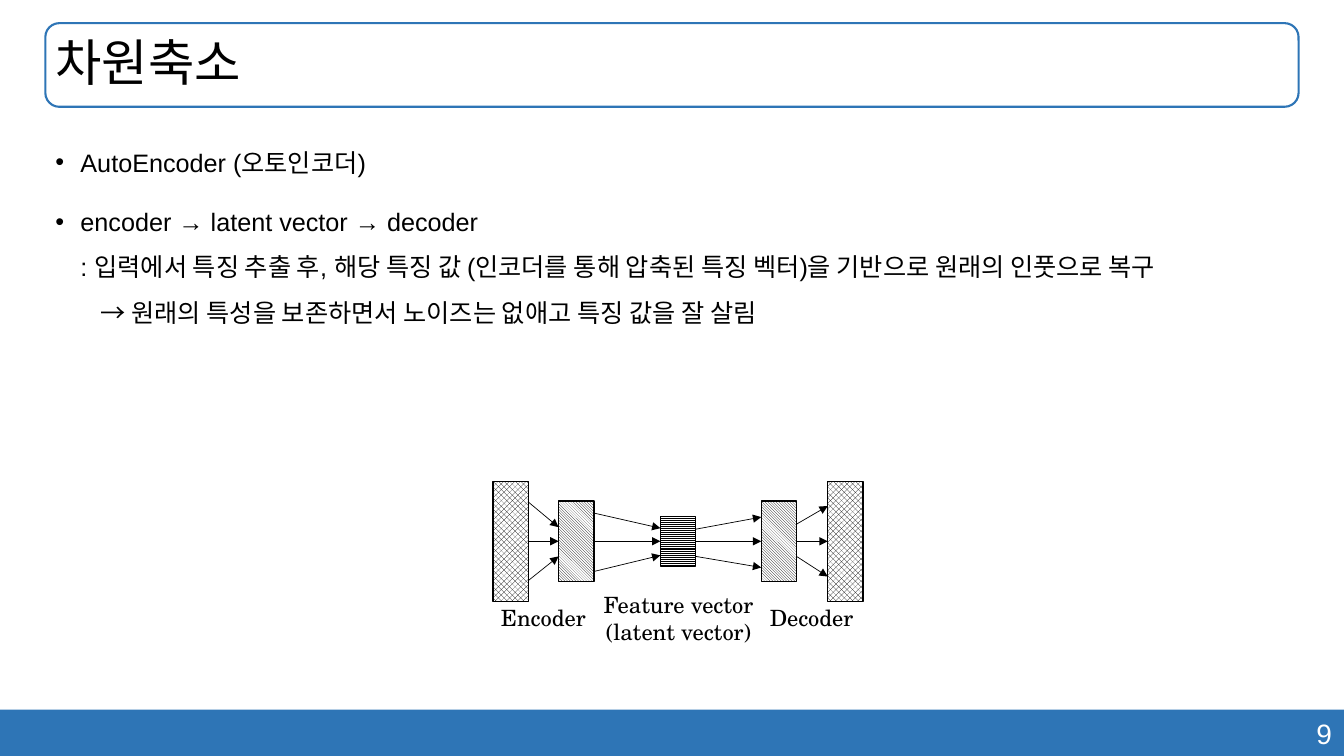
from dataclasses import dataclass

from lxml.etree import SubElement
from pptx import Presentation
from pptx.dml.color import RGBColor
from pptx.enum.dml import MSO_PATTERN_TYPE as Pattern
from pptx.enum.shapes import MSO_CONNECTOR, MSO_SHAPE
from pptx.enum.text import MSO_ANCHOR, PP_ALIGN
from pptx.oxml.ns import qn
from pptx.shapes.autoshape import Shape
from pptx.shapes.connector import Connector
from pptx.slide import Slide
from pptx.text.text import TextFrame, _Paragraph as Paragraph
from pptx.util import Inches, Length, Pt

SLIDE_WIDTH, SLIDE_HEIGHT = Inches(13.33), Inches(7.5)
COLUMNS, ROWS = 133.3, 75
LEFT_SIDE, RIGHT_SIDE = 1, 3


@dataclass(frozen=True)
class Theme:
    accent: RGBColor = RGBColor(0x2E, 0x75, 0xB6)
    ink: RGBColor = RGBColor(0, 0, 0)
    paper: RGBColor = RGBColor(255, 255, 255)
    body_font: str = "Arial"
    label_font: str = "TeX Gyre Schola"
    title_size: Length = Pt(36)
    number_size: Length = Pt(20)
    body_size: Length = Pt(18)
    label_size: Length = Pt(16)
    frame_line: Length = Pt(1.5)
    layer_line: Length = Pt(1)
    arrow_line: Length = Pt(0.5)


THEME = Theme()


@dataclass(frozen=True)
class Area:
    """A rectangle in grid columns and rows."""
    left: float
    top: float
    width: float
    height: float

    def box(self) -> tuple[Length, Length, Length, Length]:
        return across(self.left), down(self.top), across(self.width), down(self.height)


@dataclass(frozen=True)
class Point:
    text: str
    indent: float
    bullet: bool = False


@dataclass(frozen=True)
class Layer:
    left: float
    height: float
    pattern: Pattern


@dataclass(frozen=True)
class Slant:
    """Rows above or below the axis where an arrow starts and ends."""
    start: float
    end: float


@dataclass(frozen=True)
class Label:
    text: str
    area: Area


FOOTER = Area(0, 70.4, COLUMNS, 4.6)
TITLE = Area(4.5, 2.3, 124.3, 8.3)
BODY = Area(4.5, 12.6, 124.3, 55.3)
POINTS = (
    Point("AutoEncoder (오토인코더)", 2.5, bullet=True),
    Point("encoder → latent vector → decoder", 2.5, bullet=True),
    Point(": 입력에서 특징 추출 후, 해당 특징 값 (인코더를 통해 압축된 특징 벡터)을 기반으로 원래의 인풋으로 복구", 2.5),
    Point("→ 원래의 특성을 보존하면서 노이즈는 없애고 특징 값을 잘 살림", 4.5),
)

AXIS = 53.7
LAYER_WIDTH = 3.5
LAYERS = (
    Layer(48.9, 11.9, Pattern.OUTLINED_DIAMOND),
    Layer(55.4, 8, Pattern.LIGHT_DOWNWARD_DIAGONAL),
    Layer(65.5, 4.9, Pattern.LIGHT_HORIZONTAL),
    Layer(75.5, 8, Pattern.LIGHT_DOWNWARD_DIAGONAL),
    Layer(82.1, 11.9, Pattern.OUTLINED_DIAMOND),
)
SLANTS = (
    (Slant(-3.9, -1.4), Slant(3.9, 1.5)),
    (Slant(-2.8, -1.3), Slant(3, 1.4)),
    (Slant(-1.2, -2.4), Slant(1.5, 2.6)),
    (Slant(-1.7, -3.5), Slant(1.5, 3.5)),
)
LABELS = (
    Label("Encoder", Area(48.6, 59.4, 10.6, 3.7)),
    Label("Feature vector (latent vector)", Area(57.1, 58.2, 20.4, 6.4)),
    Label("Decoder", Area(70.3, 59.4, 20.4, 3.7)),
)


def across(columns: float) -> Length:
    return Length(round(SLIDE_WIDTH * columns / COLUMNS))


def down(rows: float) -> Length:
    return Length(round(SLIDE_HEIGHT * rows / ROWS))


def style(paragraph: Paragraph, size: Length, color: RGBColor = THEME.ink,
          font: str = THEME.body_font, align: PP_ALIGN = PP_ALIGN.LEFT) -> None:
    paragraph.alignment = align
    paragraph.font.name = font
    paragraph.font.size = size
    paragraph.font.color.rgb = color


def add_block(slide: Slide, kind: MSO_SHAPE, area: Area) -> Shape:
    block = slide.shapes.add_shape(kind, *area.box())
    block.shadow.inherit = False
    block.text_frame.vertical_anchor = MSO_ANCHOR.MIDDLE
    return block


def add_text_area(slide: Slide, area: Area) -> TextFrame:
    frame = slide.shapes.add_textbox(*area.box()).text_frame
    frame.word_wrap = True
    return frame


def add_footer(slide: Slide, number: str) -> None:
    footer = add_block(slide, MSO_SHAPE.RECTANGLE, FOOTER)
    footer.fill.solid()
    footer.fill.fore_color.rgb = THEME.accent
    footer.line.fill.background()
    footer.text_frame.margin_right = across(1.2)
    footer.text_frame.text = number
    style(footer.text_frame.paragraphs[0], THEME.number_size, THEME.paper, align=PP_ALIGN.RIGHT)


def add_title(slide: Slide, text: str) -> None:
    title = add_block(slide, MSO_SHAPE.ROUNDED_RECTANGLE, TITLE)
    title.fill.background()
    title.line.color.rgb = THEME.accent
    title.line.width = THEME.frame_line
    title.text_frame.margin_left = across(0.6)
    title.text_frame.text = text
    heading = title.text_frame.paragraphs[0]
    heading.line_spacing = 0.9
    style(heading, THEME.title_size)


def add_body(slide: Slide) -> None:
    frame = add_text_area(slide, BODY)
    for index, point in enumerate(POINTS):
        paragraph = frame.paragraphs[0] if index == 0 else frame.add_paragraph()
        paragraph.text = point.text
        paragraph.line_spacing = 1.5
        paragraph.space_before = Pt(10 if point.bullet and index else 0)
        properties = paragraph._p.get_or_add_pPr()
        properties.set("marL", str(across(point.indent)))
        if point.bullet:
            properties.set("indent", str(-across(point.indent)))
            SubElement(properties, qn("a:buFont"), typeface=THEME.body_font)
            SubElement(properties, qn("a:buChar"), char="•")
        style(paragraph, THEME.body_size)


def add_layer(slide: Slide, layer: Layer) -> Shape:
    area = Area(layer.left, AXIS - layer.height / 2, LAYER_WIDTH, layer.height)
    block = add_block(slide, MSO_SHAPE.RECTANGLE, area)
    block.fill.patterned()
    block.fill.pattern = layer.pattern
    block.fill.fore_color.rgb = THEME.ink
    block.fill.back_color.rgb = THEME.paper
    block.line.color.rgb = THEME.ink
    block.line.width = THEME.layer_line
    return block


def add_arrow(slide: Slide, source: Layer, target: Layer, slant: Slant) -> Connector:
    arrow = slide.shapes.add_connector(
        MSO_CONNECTOR.STRAIGHT,
        across(source.left + LAYER_WIDTH), down(AXIS + slant.start),
        across(target.left), down(AXIS + slant.end))
    arrow.line.color.rgb = THEME.ink
    arrow.line.width = THEME.arrow_line
    SubElement(arrow.line._get_or_add_ln(), qn("a:tailEnd"), type="triangle")
    SubElement(arrow._element.spPr, qn("a:effectLst"))
    return arrow


def add_network(slide: Slide) -> None:
    blocks = [add_layer(slide, layer) for layer in LAYERS]
    for index, slants in enumerate(SLANTS):
        source, target = LAYERS[index:index + 2]
        for slant in slants:
            add_arrow(slide, source, target, slant)
        middle = add_arrow(slide, source, target, Slant(0, 0))
        middle.begin_connect(blocks[index], RIGHT_SIDE)
        middle.end_connect(blocks[index + 1], LEFT_SIDE)
    for label in LABELS:
        frame = add_text_area(slide, label.area)
        frame.text = label.text
        style(frame.paragraphs[0], THEME.label_size, font=THEME.label_font, align=PP_ALIGN.CENTER)


def main() -> None:
    deck = Presentation()
    deck.slide_width, deck.slide_height = SLIDE_WIDTH, SLIDE_HEIGHT
    slide = deck.slides.add_slide(deck.slide_layouts[6])
    add_footer(slide, "9")
    add_title(slide, "차원축소")
    add_body(slide)
    add_network(slide)
    deck.save("out.pptx")


if __name__ == "__main__":
    main()
